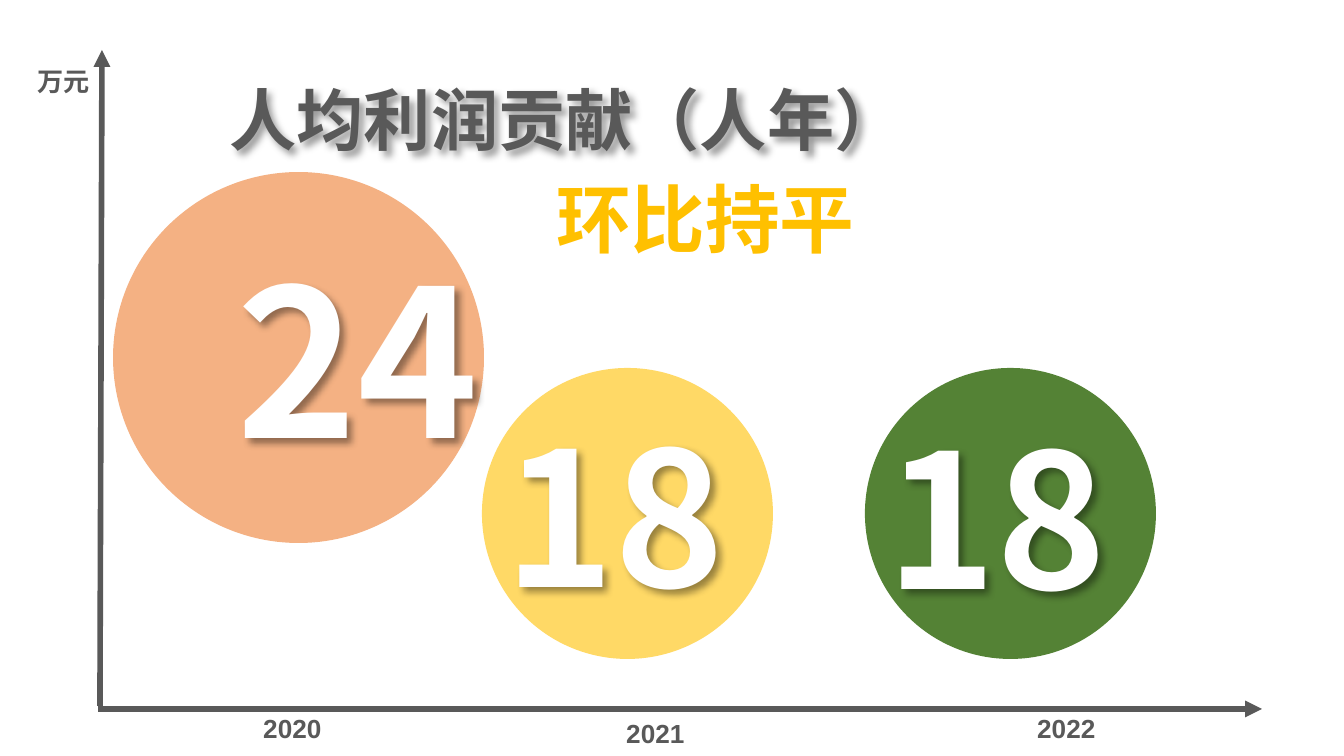
from lxml import etree
from pptx import Presentation
from pptx.dml.color import RGBColor
from pptx.enum.shapes import MSO_CONNECTOR, MSO_SHAPE
from pptx.enum.text import MSO_ANCHOR, MSO_AUTO_SIZE, PP_ALIGN
from pptx.oxml.ns import qn
from pptx.util import Pt

LEFT, CENTER, RIGHT = PP_ALIGN.LEFT, PP_ALIGN.CENTER, PP_ALIGN.RIGHT
ELLIPSE = MSO_SHAPE.OVAL
STRAIGHT = MSO_CONNECTOR.STRAIGHT
TOP = MSO_ANCHOR.TOP
FIT_SHAPE = MSO_AUTO_SIZE.SHAPE_TO_FIT_TEXT

SCALE = 914400 / 134.4
GREY, WHITE, GOLD = "595959", "FFFFFF", "FFC000"
CJK, LATIN = "Noto Sans CJK SC", "Arial"

TITLE = ("人均利润贡献（人年）", (216, 31, 706, 136))
SUBTITLE = ("环比持平", (543, 122, 329, 133))
UNIT = ("万元", (24, 59, 79, 46))
BUBBLES = [
    ("18", "548235", (865, 368, 291), (867, 396, 259, 239), 100),
    ("18", "FFD966", (482, 368, 291), (485, 394, 259, 239), 100),
    ("24", "F4B183", (113, 172, 371), (216, 227, 284, 262), 110),
]
YEARS = [("2020", 250, 706), ("2021", 613, 711), ("2022", 1024, 706)]
YEAR_SIZE = (86, 46)
AXES = [(98, 709, 1262, 709), (100, 706, 102, 50)]


def px(*values):
    return [round(value * SCALE) for value in values]


def color(value):
    return RGBColor.from_string(value)


def add_shadow(box):
    effects = etree.SubElement(box._element.spPr, qn("a:effectLst"))
    shadow = etree.SubElement(effects, qn("a:outerShdw"), blurRad="50800",
                              dist="38100", dir="2700000", algn="tl", rotWithShape="0")
    black = etree.SubElement(shadow, qn("a:prstClr"), val="black")
    etree.SubElement(black, qn("a:alpha"), val="40000")


def write(box, text, size, font, tint, align=LEFT, spacing=None, shadow=False):
    box.fill.background()
    frame = box.text_frame
    frame.word_wrap = False
    frame.auto_size = FIT_SHAPE
    frame.vertical_anchor = TOP
    para = frame.paragraphs[0]
    para.alignment = align
    if spacing:
        para.line_spacing = spacing
    span = para.add_run()
    span.text = text
    span.font.size = Pt(size)
    span.font.bold = True
    span.font.color.rgb = color(tint)
    span.font.name = font
    etree.SubElement(span.font._element, qn("a:ea"), typeface=CJK)
    if shadow:
        add_shadow(box)


def add_text(page, text, area, *style, **options):
    write(page.shapes.add_textbox(*px(*area)), text, *style, **options)


def add_bubble(page, tint, left, top, diameter):
    bubble = page.shapes.add_shape(ELLIPSE, *px(left, top, diameter, diameter))
    bubble.shadow.inherit = False
    bubble.fill.solid()
    bubble.fill.fore_color.rgb = color(tint)
    bubble.line.fill.background()


def add_axis(page, ends):
    axis = page.shapes.add_connector(STRAIGHT, *px(*ends))
    axis.line.color.rgb = color(GREY)
    axis.line.width = Pt(3)
    etree.SubElement(axis.line._get_or_add_ln(), qn("a:tailEnd"), type="triangle")
    etree.SubElement(axis._element.spPr, qn("a:effectLst"))


def main():
    deck = Presentation()
    deck.slide_width, deck.slide_height = px(1344, 756)
    page = deck.slides.add_slide(deck.slide_layouts[5])

    for _, tint, circle, _, _ in BUBBLES:
        add_bubble(page, tint, *circle)

    text, area = TITLE
    title = page.shapes.title
    title.left, title.top, title.width, title.height = px(*area)
    write(title, text, 36, CJK, GREY, spacing=1.5, shadow=True)

    for number, _, _, area, size in BUBBLES:
        add_text(page, number, area, size, CJK, WHITE, align=CENTER, shadow=True)
    for ends in AXES:
        add_axis(page, ends)
    for year, left, top in YEARS:
        add_text(page, year, (left, top, *YEAR_SIZE), 14, LATIN, GREY)
    add_text(page, *UNIT, 14, LATIN, GREY, align=RIGHT)
    add_text(page, *SUBTITLE, 40, CJK, GOLD, spacing=1.5)

    deck.save("out.pptx")


if __name__ == "__main__":
    main()
